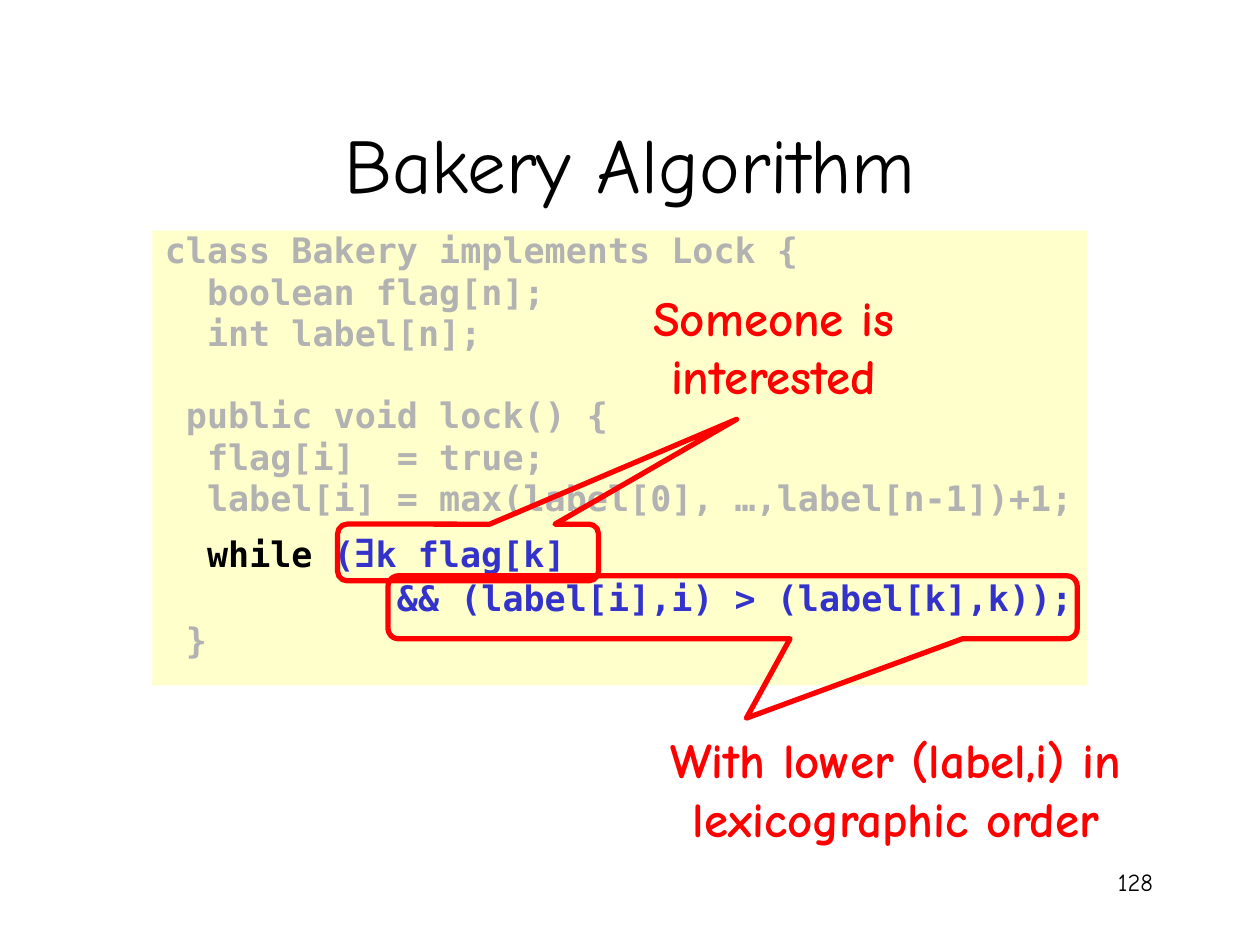
from pptx import Presentation
from pptx.dml.color import RGBColor
from pptx.enum.shapes import MSO_SHAPE
from pptx.enum.text import MSO_ANCHOR, PP_ALIGN
from pptx.util import Inches, Pt

COLORS = {
    "ink": "000000",
    "faded": "B2B2B2",
    "condition": "3333CC",
    "alert": "FF0000",
    "panel": "FFFFCC",
}
PROSE, CODE, SYMBOL = "Comic Neue", "DejaVu Sans Mono", "Arial"

LINE_GAP, BLANK_LINE_GAP, SYMBOL_LINE_GAP = 4.5, 27.6, 6.5
CODE_LINES = [
    (0, [("class Bakery implements Lock {", "faded")]),
    (LINE_GAP, [("  boolean flag[n];", "faded")]),
    (LINE_GAP, [("  int label[n];", "faded")]),
    (BLANK_LINE_GAP, [(" public void lock() {", "faded")]),
    (LINE_GAP, [("  flag[i]  = true;", "faded")]),
    (LINE_GAP, [("  label[i] = max(label[0], …,label[n-1])+1;", "faded")]),
    (SYMBOL_LINE_GAP, [("  ", "condition"), ("while", "ink"), (" (", "condition"),
                       ("∃", "condition"), ("k flag[k]", "condition")]),
    (LINE_GAP, [("           && (label[i],i) > (label[k],k));", "condition")]),
    (LINE_GAP, [(" }", "faded")]),
]


def rgb(name):
    """Return the named colour."""
    return RGBColor.from_string(COLORS[name])


def write(paragraph, text, *, size, font=PROSE, color="ink", bold=False, align=None):
    """Append formatted text to a paragraph."""
    run = paragraph.add_run()
    run.text = text
    run.font.name = font
    run.font.size = Pt(size)
    run.font.bold = bold
    run.font.color.rgb = rgb(color)
    if align is not None:
        paragraph.alignment = align


def place(part, left, top, width, height):
    """Move and size a part, in inches."""
    part.left, part.top = Inches(left), Inches(top)
    part.width, part.height = Inches(width), Inches(height)


def add_title(slide, text):
    """Fill the title placeholder."""
    title = slide.shapes.title
    place(title, 0.75, 0.67, 8.5, 1.25)
    title.text_frame.vertical_anchor = MSO_ANCHOR.MIDDLE
    write(title.text_frame.paragraphs[0], text, size=44, align=PP_ALIGN.CENTER)


def add_label(slide, text, box, **style):
    """Add a wrapping text box."""
    label = slide.shapes.add_textbox(*map(Inches, box))
    label.text_frame.word_wrap = True
    write(label.text_frame.paragraphs[0], text, **style)


def add_code(slide, lines, box):
    """Add the code listing on its panel."""
    panel = slide.shapes.add_shape(MSO_SHAPE.RECTANGLE, *map(Inches, box))
    panel.shadow.inherit = False
    panel.fill.solid()
    panel.fill.fore_color.rgb = rgb("panel")
    panel.line.fill.background()
    frame = panel.text_frame
    frame.word_wrap = True
    frame.vertical_anchor = MSO_ANCHOR.TOP
    for index, (gap, pieces) in enumerate(lines):
        paragraph = frame.add_paragraph() if index else frame.paragraphs[0]
        paragraph.alignment = PP_ALIGN.LEFT
        paragraph.line_spacing = 0.8
        if gap:
            paragraph.space_before = Pt(gap)
        for text, color in pieces:
            font, size = (SYMBOL, 28) if text == "∃" else (CODE, 20)
            write(paragraph, text, size=size, font=font, color=color, bold=True)


def add_callout(slide, box, tip):
    """Outline a code fragment with a pointer to its remark."""
    callout = slide.shapes.add_shape(
        MSO_SHAPE.ROUNDED_RECTANGULAR_CALLOUT, *map(Inches, box))
    callout.shadow.inherit = False
    callout.fill.background()
    callout.line.color.rgb = rgb("alert")
    callout.line.width = Pt(3)
    callout.adjustments[0], callout.adjustments[1] = tip


def main():
    """Build the slide and save it."""
    deck = Presentation()
    deck.slide_width, deck.slide_height = Inches(10), Inches(7.5)
    slide = deck.slides.add_slide(deck.slide_layouts[5])
    remark = dict(size=28, color="alert", bold=True, align=PP_ALIGN.CENTER)

    add_label(slide, "128", (7.17, 6.83, 2.08, 0.5), size=14, align=PP_ALIGN.RIGHT)
    add_title(slide, "Bakery Algorithm")
    add_code(slide, CODE_LINES, (1.21, 1.83, 7.42, 3.61))
    add_callout(slide, (2.68, 4.16, 2.07, 0.45), (1.03, -2.35))
    add_label(slide, "Someone is interested", (4.36, 2.23, 3.56, 1.03), **remark)
    add_callout(slide, (3.08, 4.57, 5.47, 0.5), (0.02, 1.76))
    add_label(slide, "With lower (label,i) in lexicographic order",
              (4.93, 5.74, 4.36, 1.03), **remark)
    deck.save("out.pptx")


if __name__ == "__main__":
    main()
